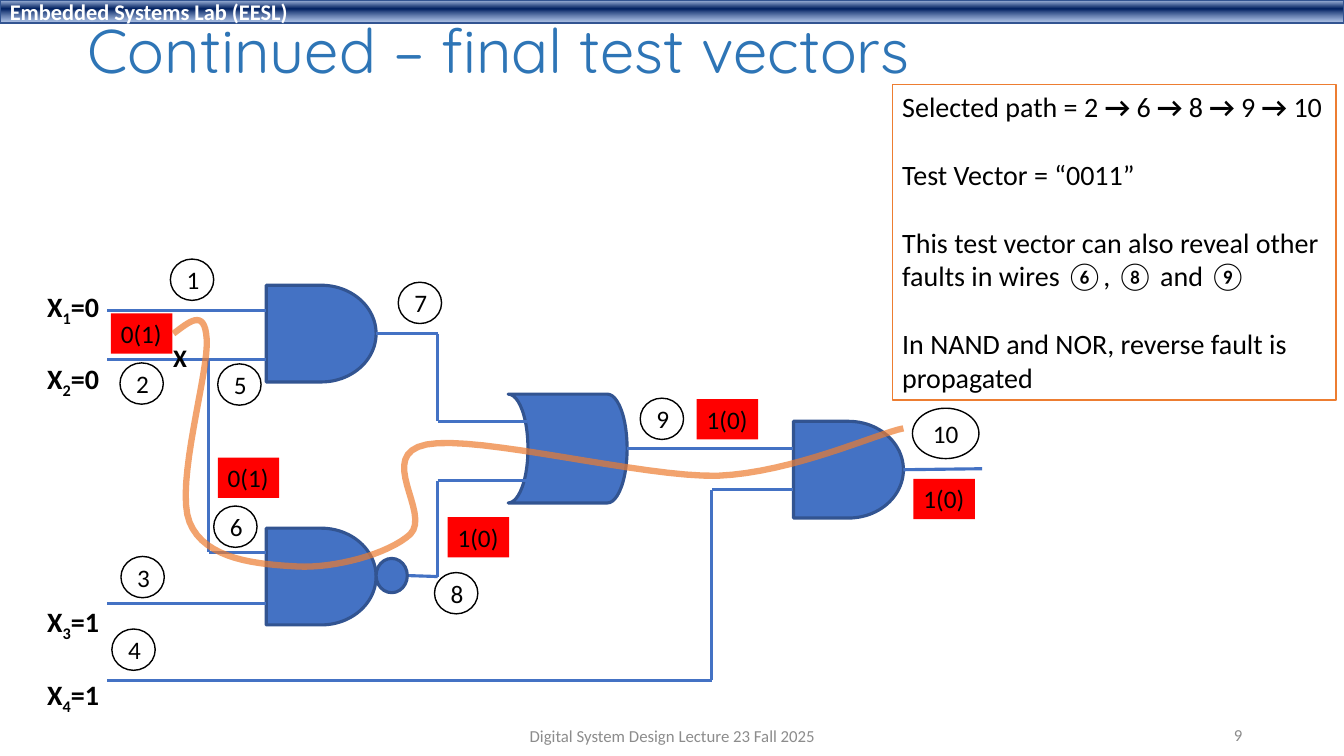
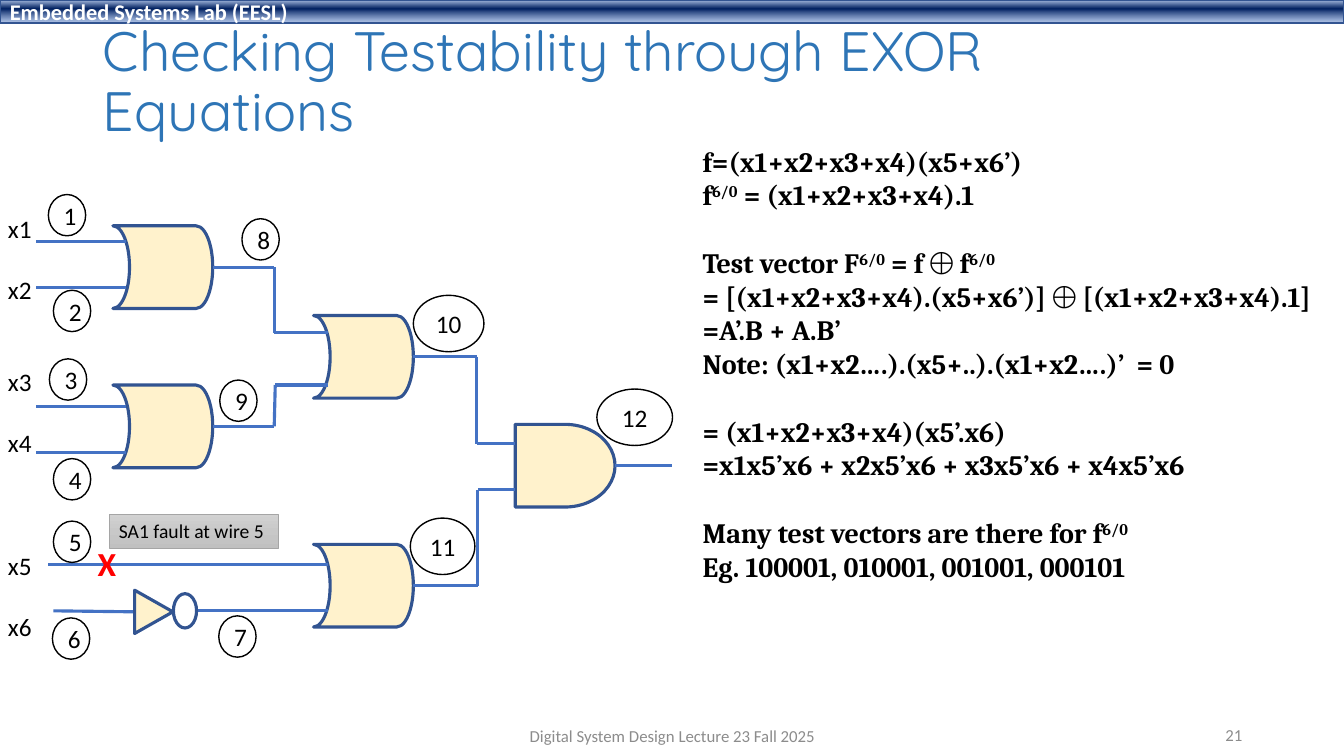
from dataclasses import dataclass
from itertools import pairwise
from typing import NamedTuple, Sequence

from lxml.etree import SubElement
from pptx import Presentation
from pptx.dml.color import RGBColor
from pptx.enum.shapes import MSO_CONNECTOR as Connector, MSO_SHAPE as Preset
from pptx.enum.text import MSO_ANCHOR as Anchor, MSO_AUTO_SIZE as AutoSize, PP_ALIGN as Align
from pptx.oxml.ns import qn
from pptx.util import Inches, Pt


@dataclass(frozen=True)
class Theme:
    black: str = "000000"
    white: str = "FFFFFF"
    title: str = "2E75B6"
    muted: str = "8C8C8C"
    wire: str = "4472C4"
    outline: str = "325491"
    cream: str = "FFF2CC"
    orange: str = "ED7D31"
    red: str = "FF0000"
    tag_edge: str = "A5A5A5"
    body_font: str = "Calibri"
    math_font: str = "Cambria"
    title_font: str = "Quicksand"
    body_size: float = 20
    label_size: float = 18
    band_size: float = 16
    tag_size: float = 14
    footer_size: float = 12
    mark_size: float = 24
    line_height: float = 1.22


THEME = Theme()


class Frame(NamedTuple):
    left: float
    top: float
    width: float
    height: float


class Stop(NamedTuple):
    position: int
    color: str
    opacity: int = 100


class Span(NamedTuple):
    text: str
    bold: bool = False
    baseline: int = 0


class Line(NamedTuple):
    spans: Sequence[Span]
    gap: int = 0  # line heights left free above


class Gate(NamedTuple):
    preset: Preset
    frame: Frame
    flipped: bool = False


class Wire(NamedTuple):
    points: Sequence[tuple[float, float]]
    source: int | None = None  # index of the gate whose output starts the wire


class Label(NamedTuple):
    text: str
    left: float
    top: float
    width: float = 0
    height: float = 0


@dataclass(frozen=True)
class TextStyle:
    size: float = THEME.label_size
    color: str = THEME.black
    font: str = THEME.body_font
    bold: bool = False
    align: Align = Align.LEFT
    anchor: Anchor = Anchor.TOP
    wrap: bool = False


BAND_STOPS = (Stop(2, "ABC0E4"), Stop(38, "002060"), Stop(93, "7E9ED6", 64))
TAG_STOPS = (Stop(0, "D2D2D2"), Stop(50, "C8C8C8"), Stop(100, "C0C0C0"))
NUMBER_STYLE = TextStyle(align=Align.CENTER, anchor=Anchor.MIDDLE, wrap=True)


def rgb(color: str) -> RGBColor:
    return RGBColor.from_string(color)


def plain(text: str, gap: int = 0) -> Line:
    return Line([Span(text)], gap)


def write(shape, lines: Sequence[Line], style: TextStyle) -> None:
    frame = shape.text_frame
    frame.word_wrap = style.wrap
    frame.auto_size = AutoSize.NONE
    frame.vertical_anchor = style.anchor
    for index, line in enumerate(lines):
        para = frame.add_paragraph() if index else frame.paragraphs[0]
        para.alignment = style.align
        if line.gap:
            para.space_before = Pt(round(line.gap * style.size * THEME.line_height, 1))
        for part in line.spans:
            span = para.add_run()
            span.text = part.text
            span.font.name = style.font
            span.font.size = Pt(style.size)
            span.font.bold = style.bold or part.bold
            span.font.color.rgb = rgb(style.color)
            if part.baseline:
                span._r.get_or_add_rPr().set("baseline", str(part.baseline * 1000))


def add_text(slide, frame: Frame, lines: Sequence[Line], style: TextStyle):
    box = slide.shapes.add_textbox(*map(Inches, frame))
    write(box, lines, style)
    return box


def add_preset(slide, preset: Preset, frame: Frame, fill: str | None = None,
               line: str | None = None, weight: float = 1):
    shape = slide.shapes.add_shape(preset, *map(Inches, frame))
    shape.shadow.inherit = False
    if fill:
        shape.fill.solid()
        shape.fill.fore_color.rgb = rgb(fill)
    else:
        shape.fill.background()
    if line:
        shape.line.color.rgb = rgb(line)
        shape.line.width = Pt(weight)
    else:
        shape.line.fill.background()
    return shape


def fill_gradient(shape, stops: Sequence[Stop]) -> None:
    """Replace the empty fill with a top-to-bottom gradient."""
    fill = shape.element.spPr.find(qn("a:noFill"))
    gradient = fill.makeelement(qn("a:gradFill"), {"rotWithShape": "1"})
    stop_list = SubElement(gradient, qn("a:gsLst"))
    for stop in stops:
        entry = SubElement(stop_list, qn("a:gs"), pos=str(stop.position * 1000))
        color = SubElement(entry, qn("a:srgbClr"), val=stop.color)
        if stop.opacity < 100:
            SubElement(color, qn("a:alpha"), val=str(stop.opacity * 1000))
    SubElement(gradient, qn("a:lin"), ang="5400000", scaled="0")
    fill.getparent().replace(fill, gradient)


def add_gates(slide, gates: Sequence[Gate], fill: str) -> list:
    shapes = []
    for gate in gates:
        shape = add_preset(slide, gate.preset, gate.frame, fill, THEME.outline, 2.25)
        if gate.flipped:
            shape.element.spPr.find(qn("a:xfrm")).set("flipH", "1")
        shapes.append(shape)
    return shapes


def add_wires(slide, wires: Sequence[Wire], gates: list) -> None:
    for wire in wires:
        for index, (start, end) in enumerate(pairwise(wire.points)):
            line = slide.shapes.add_connector(Connector.STRAIGHT, *map(Inches, start + end))
            line.line.color.rgb = rgb(THEME.wire)
            line.line.width = Pt(2.25)
            if wire.source is not None and index == 0:
                line.begin_connect(gates[wire.source], 3)
            SubElement(line.element.spPr, qn("a:effectLst"))


def add_numbers(slide, labels: Sequence[Label], width: float) -> None:
    for label in labels:
        frame = Frame(label.left, label.top, label.width or width, label.height or 0.41)
        circle = add_preset(slide, Preset.OVAL, frame, line=THEME.black)
        write(circle, [plain(label.text)], NUMBER_STYLE)


def add_path(slide, start: tuple[float, float], curves: Sequence[tuple], steps: int = 16) -> None:
    """Draw the translucent path through a chain of cubic curves."""
    points, origin = [], start
    for x1, y1, x2, y2, x3, y3 in curves:
        corners = (origin, (x1, y1), (x2, y2), (x3, y3))
        for step in range(1, steps + 1):
            t = step / steps
            weights = ((1 - t) ** 3, 3 * t * (1 - t) ** 2, 3 * t * t * (1 - t), t ** 3)
            points.append(tuple(
                Inches(sum(w * corner[axis] for w, corner in zip(weights, corners)))
                for axis in (0, 1)))
        origin = (x3, y3)
    builder = slide.shapes.build_freeform(*map(Inches, start))
    builder.add_line_segments(points, close=False)
    path = builder.convert_to_shape()
    path.shadow.inherit = False
    path.fill.background()
    path.line.color.rgb = rgb(THEME.orange)
    path.line.width = Pt(4.5)
    color = path.element.spPr.find(qn("a:ln")).find(f".//{qn('a:srgbClr')}")
    SubElement(color, qn("a:alpha"), val="70000")


def add_band(deck, slide) -> None:
    """Build the lab band and hand it to the slide master."""
    band = add_preset(slide, Preset.RECTANGLE, Frame(0, 0, 13.33, 0.23), line=THEME.outline)
    fill_gradient(band, BAND_STOPS)
    write(band, [plain("Embedded Systems Lab (EESL)")],
          TextStyle(THEME.band_size, THEME.white, bold=True, anchor=Anchor.MIDDLE))
    deck.slide_master.shapes.element.append(band.element)


def add_page(deck, title: str, frame: Frame, size: float, number: int):
    slide = deck.slides.add_slide(deck.slide_layouts[5])
    heading = slide.shapes.title
    heading.left, heading.top, heading.width, heading.height = map(Inches, frame)
    write(heading, [plain(title)], TextStyle(size, THEME.title, THEME.title_font,
                                             anchor=Anchor.MIDDLE, wrap=True))
    heading.text_frame.paragraphs[0].line_spacing = 0.9
    footers = ((Frame(4.42, 7.1, 4.5, 0.4), "Digital System Design Lecture 23 Fall 2025", Align.CENTER),
               (Frame(9.42, 7.09, 3, 0.4), str(number), Align.RIGHT))
    for place, text, align in footers:
        add_text(slide, place, [plain(text)], TextStyle(
            THEME.footer_size, THEME.muted, align=align, anchor=Anchor.MIDDLE, wrap=True))
    return slide


def build_test_vectors(deck):
    slide = add_page(deck, "Continued – final test vectors", Frame(0.77, 0.12, 11.5, 0.83), 44, 9)
    body = TextStyle(THEME.body_size)
    route = [Span("Selected path = 2")]
    for wire in ("6", "8", "9", "10"):
        route += [Span(" → ", bold=True), Span(wire)]
    note = add_preset(slide, Preset.RECTANGLE, Frame(8.85, 0.84, 4.4, 3.13), THEME.white, THEME.orange)
    write(note, [Line(route), plain("Test Vector = “0011”", 1),
                 plain("This test vector can also reveal other", 1),
                 plain("faults in wires ⑥, ⑧ and ⑨"),
                 plain("In NAND and NOR, reverse fault is", 1), plain("propagated")], body)

    gates = add_gates(slide, [
        *(Gate(Preset.FLOWCHART_DELAY, Frame(left, top, 1.09, 0.96))
          for left, top in ((2.64, 2.83), (2.64, 5.24), (7.87, 4.18))),
        Gate(Preset.FLOWCHART_STORED_DATA, Frame(5.04, 3.91, 1.18, 1.08), True),
    ], THEME.wire)
    add_wires(slide, [
        Wire([(3.73, 3.31), (4.34, 3.31), (4.34, 4.18), (5.23, 4.18)], 0),
        Wire([(4.04, 5.71), (4.34, 5.72), (4.34, 4.77), (5.23, 4.77)]),
        Wire([(6.22, 4.45), (7.87, 4.45)]),
        Wire([(8.96, 4.66), (9.74, 4.65)], 2),
        Wire([(7.87, 4.86), (7.06, 4.86), (7.06, 6.75), (1.06, 6.75)]),
        Wire([(2.64, 5.99), (1.06, 5.99)]),
        Wire([(2.64, 3.57), (1.06, 3.57)]),
        Wire([(2.64, 3.08), (1.06, 3.08)]),
        Wire([(2.07, 3.57), (2.07, 5.48), (2.64, 5.48)]),
    ], gates)
    add_preset(slide, Preset.OVAL, Frame(3.73, 5.54, 0.31, 0.34), THEME.wire, THEME.outline, 2.25)
    add_text(slide, Frame(1.62, 3.35, 0.34, 0.4), [plain("X")], TextStyle(bold=True))
    inputs = (("1", "=0", 0), ("2", "=0", 1), ("3", "=1", 6), ("4", "=1", 1))
    add_text(slide, Frame(0.37, 2.82, 0.73, 4.14),
             [Line([Span("X"), Span(index, baseline=-25), Span(value)], gap)
              for index, value, gap in inputs], TextStyle(THEME.body_size, bold=True))
    add_numbers(slide, [
        Label("1", 1.69, 2.57), Label("2", 1.19, 3.6), Label("3", 1.2, 5.52),
        Label("4", 1.11, 6.24), Label("5", 2.16, 3.61), Label("6", 2.12, 5.02),
        Label("7", 3.95, 2.8), Label("8", 4.31, 5.68), Label("9", 6.35, 3.95),
        Label("10", 9.05, 4.05, 0.66, 0.5)], 0.43)
    for value in (Label("0(1)", 1.1, 3.11), Label("0(1)", 2.16, 4.54), Label("1(0)", 6.91, 3.96),
                  Label("1(0)", 9.06, 4.75), Label("1(0)", 4.44, 5.13)):
        box = add_preset(slide, Preset.RECTANGLE, Frame(value.left, value.top, 0.61, 0.4), THEME.red)
        write(box, [plain(value.text)], TextStyle())
    add_path(slide, (1.72, 3.31), [
        (1.87, 3.2, 2.03, 3.05, 2.05, 3.36), (2.08, 3.67, 1.73, 4.81, 1.88, 5.18),
        (2.03, 5.56, 2.58, 5.6, 2.95, 5.62), (3.31, 5.64, 3.85, 5.5, 4.07, 5.3),
        (4.28, 5.09, 3.72, 4.51, 4.23, 4.41), (4.74, 4.31, 6.38, 4.74, 7.12, 4.72),
        (7.86, 4.69, 8.7, 4.3, 8.96, 4.25)])
    return slide


def build_testability(deck) -> None:
    slide = add_page(deck, "Checking Testability through EXOR Equations",
                     Frame(0.92, 0.19, 11.5, 1.28), 39.6, 21)
    gates = add_gates(slide, [
        Gate(Preset.FLOWCHART_DELAY, Frame(5.11, 4.21, 0.99, 0.82)),
        *(Gate(Preset.FLOWCHART_STORED_DATA, Frame(left, top, 0.99, 0.82), True)
          for left, top in ((1.12, 2.24), (1.12, 3.82), (3.11, 3.13), (3.11, 5.4))),
    ], THEME.cream)
    stubs = ((1.25, 0.36, 2.4), (1.25, 0.36, 2.85), (1.25, 0.36, 4.03), (1.25, 0.36, 4.49),
             (3.25, 0.48, 5.6), (3.25, 1.94, 6.06))
    add_wires(slide, [
        *(Wire([(right, y), (left, y)]) for right, left, y in stubs),
        Wire([(1.34, 6.07), (0.53, 6.06)]),
        Wire([(2.11, 2.65), (2.72, 2.65), (2.72, 3.3), (3.25, 3.3)]),
        Wire([(2.11, 4.23), (2.72, 4.23), (2.73, 3.82), (3.25, 3.82)]),
        Wire([(4.1, 3.54), (4.73, 3.54), (4.73, 4.4), (5.11, 4.4)]),
        Wire([(4.1, 5.81), (4.74, 5.81), (4.74, 4.86), (5.11, 4.86)]),
        Wire([(6.1, 4.62), (6.67, 4.62)], 0),
    ], gates)
    inverter = add_preset(slide, Preset.ISOSCELES_TRIANGLE, Frame(1.31, 5.88, 0.43, 0.38),
                          THEME.cream, THEME.outline, 2.25)
    inverter.rotation = 90
    add_preset(slide, Preset.OVAL, Frame(1.72, 5.89, 0.23, 0.34), line=THEME.outline, weight=2.25)
    add_numbers(slide, [
        Label("1", 0.48, 1.93), Label("2", 0.53, 2.88), Label("3", 0.49, 3.56),
        Label("4", 0.53, 4.55), Label("5", 0.53, 5.17), Label("6", 0.52, 6.13),
        Label("7", 2.17, 6.11), Label("8", 2.4, 2.17), Label("9", 2.18, 3.77),
        Label("10", 4.1, 2.93, 0.7, 0.56), Label("11", 4.07, 5.14, 0.64, 0.56),
        Label("12", 5.92, 3.86, 0.75, 0.56)], 0.37)
    add_text(slide, Frame(0.87, 5.34, 0.39, 0.5), [plain("X")],
             TextStyle(THEME.mark_size, THEME.red, bold=True))
    tag = add_preset(slide, Preset.RECTANGLE, Frame(1.08, 5.1, 1.68, 0.34),
                     line=THEME.tag_edge, weight=0.5)
    fill_gradient(tag, TAG_STOPS)
    write(tag, [plain("SA1 fault at wire 5")], TextStyle(THEME.tag_size))
    fault = Span("6/0", baseline=30)
    add_text(slide, Frame(6.87, 1.38, 6.52, 4.48), [
        plain("f=(x1+x2+x3+x4)(x5+x6’)"),
        Line([Span("f"), fault, Span(" = (x1+x2+x3+x4).1")]),
        Line([Span("Test vector F"), fault, Span(" = f ⨁ f"), fault], 1),
        plain("= [(x1+x2+x3+x4).(x5+x6’)] ⨁ [(x1+x2+x3+x4).1]"),
        plain("=A’.B + A.B’"),
        plain("Note: (x1+x2….).(x5+..).(x1+x2….)’  = 0"),
        plain("= (x1+x2+x3+x4)(x5’.x6)", 1),
        plain("=x1x5’x6 + x2x5’x6 + x3x5’x6 + x4x5’x6"),
        Line([Span("Many test vectors are there for f"), fault], 1),
        plain("Eg. 100001, 010001, 001001, 000101"),
    ], TextStyle(THEME.body_size, font=THEME.math_font, bold=True))
    gaps = (0, 1, 2, 1, 3, 1)
    add_text(slide, Frame(-0.02, 2.07, 0.44, 4.34),
             [plain(f"x{index}", gap) for index, gap in enumerate(gaps, 1)], TextStyle())


def main() -> None:
    deck = Presentation()
    deck.slide_width, deck.slide_height = Inches(13.33), Inches(7.5)
    add_band(deck, build_test_vectors(deck))
    build_testability(deck)
    deck.save("out.pptx")


if __name__ == "__main__":
    main()
